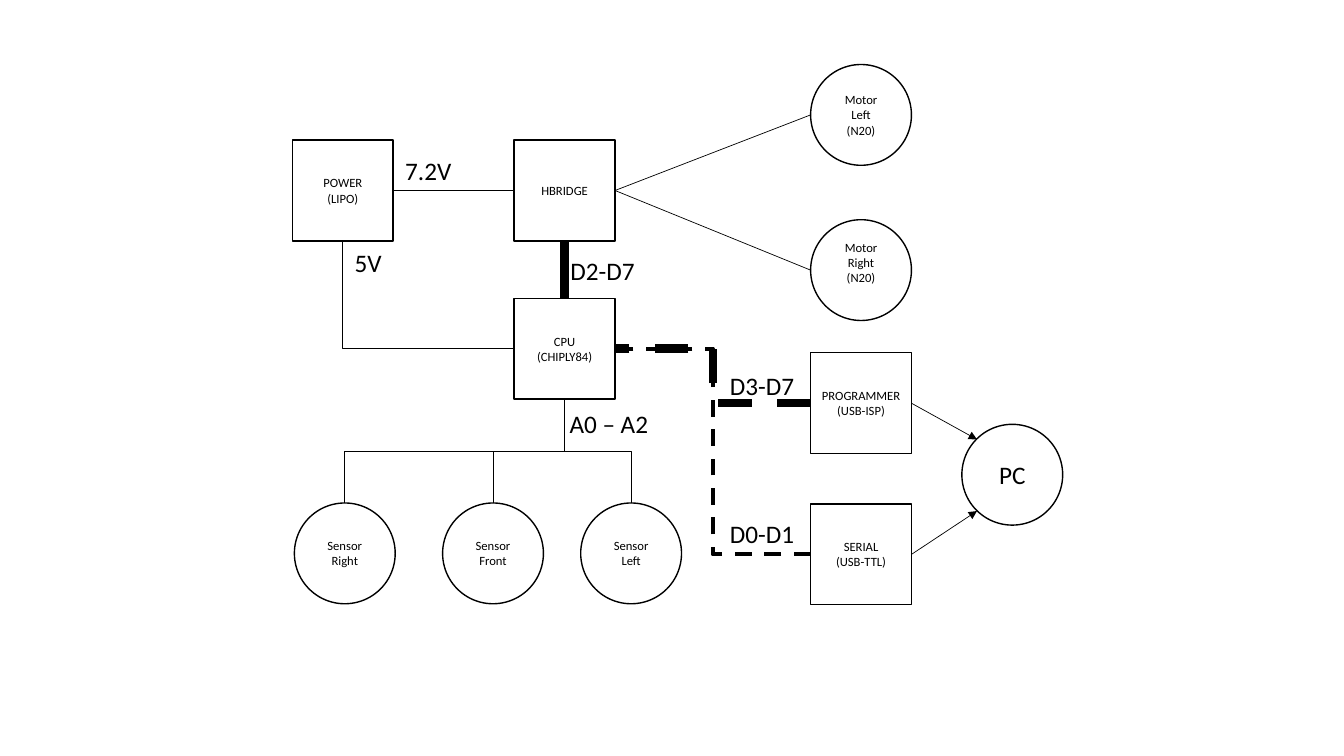
from pptx import Presentation
from pptx.dml.color import RGBColor
from pptx.enum.dml import MSO_LINE as Dash
from pptx.enum.shapes import MSO_CONNECTOR as Conn, MSO_SHAPE as Geo
from pptx.enum.text import MSO_ANCHOR as Anchor, MSO_AUTO_SIZE as Auto, PP_ALIGN as Align
from pptx.oxml.ns import qn
from pptx.util import Inches, Pt
from lxml.etree import SubElement

BLACK = RGBColor(0, 0, 0)
WHITE = RGBColor(255, 255, 255)
SIDE = 1  # every box and circle is one inch wide and high
THIN = 0.5

NODE = {"word_wrap": True, "vertical_anchor": Anchor.MIDDLE}
LABEL = {"word_wrap": False, "auto_size": Auto.SHAPE_TO_FIT_TEXT}

BOXES = {
    "cpu": (5.1, 2.96, "CPU\n(CHIPLY84)"),
    "bridge": (5.1, 1.39, "HBRIDGE"),
    "power": (2.9, 1.39, "POWER\n(LIPO)"),
    "prog": (8.04, 3.5, "PROGRAMMER\n(USB-ISP)"),
    "serial": (8.04, 5, "SERIAL\n(USB-TTL)"),
}
MOTORS = [(0.64, "Left", 0.05), (2.18, "Right", 0.2)]
SENSORS = [(4.39, "Front"), (2.92, "Right"), (5.76, "Left")]
LABELS = [
    (3.42, 2.4, 0.47, "5V"),
    (3.92, 1.49, 0.66, "7.2V"),
    (5.56, 2.48, 0.85, "D2-D7"),
    (5.55, 4, 0.99, "A0 – A2"),
    (7.14, 5.09, 0.85, "D0-D1"),
    (7.14, 3.62, 0.85, "D3-D7"),
]


def put(item, vals):
    for name, val in vals.items():
        setattr(item, name, val)


def write(frame, text, size, align, vals):
    put(frame, vals)
    frame.text = text
    for para in frame.paragraphs:
        para.alignment = align
        for run in para.runs:
            put(run.font, {"name": "Calibri", "size": Pt(size)})
            run.font.color.rgb = BLACK


def node(slide, geo, x, y, text, size=9, low=0.05):
    shape = slide.shapes.add_shape(geo, *map(Inches, (x, y, SIDE, SIDE)))
    shape.shadow.inherit = False
    shape.fill.solid()
    shape.fill.fore_color.rgb = WHITE
    shape.line.color.rgb = BLACK
    shape.line.width = Pt(1)
    write(shape.text_frame, text, size, Align.CENTER,
          {**NODE, "margin_bottom": Inches(low)})
    return shape


def label(slide, x, y, wide, text):
    box = slide.shapes.add_textbox(*map(Inches, (x, y, wide, 0.4)))
    write(box.text_frame, text, 18, Align.LEFT, LABEL)


def link(slide, kind, start, end, width=THIN, dash=None):
    line = slide.shapes.add_connector(kind, *map(Inches, (*start, *end)))
    line.line.color.rgb = BLACK
    put(line.line, {"width": Pt(width), "dash_style": dash})
    SubElement(line.element.spPr, qn("a:effectLst"))
    return line


def wire(slide, box, side, end, width=THIN):
    """Straight line that leaves a box at the middle of a side."""
    start = (box.left.inches, box.top.inches)
    line = link(slide, Conn.STRAIGHT, start, end, width)
    line.begin_connect(box, side)
    return line


def arrow(slide, box, end):
    line = wire(slide, box, 3, end)
    SubElement(line.line._get_or_add_ln(), qn("a:tailEnd"), type="triangle")


def drop(slide, start, end, preset="bentConnector3"):
    """Elbow that leaves downwards: a quarter turn about its centre."""
    (x1, y1), (x2, y2) = start, end
    mid_x, mid_y = (x1 + x2) / 2, (y1 + y2) / 2
    right = x2 > x1
    dx = (y2 - y1) / 2 * (1 if right else -1)
    dy = abs(x2 - x1) / 2
    line = link(slide, Conn.ELBOW, (mid_x + dx, mid_y - dy), (mid_x - dx, mid_y + dy))
    props = line.element.spPr
    props.find(qn("a:xfrm")).set("rot", str((270 if right else 90) * 60000))
    props.find(qn("a:prstGeom")).set("prst", preset)


def main():
    deck = Presentation()
    put(deck, {"slide_width": Inches(13.33), "slide_height": Inches(7.5)})
    slide = deck.slides.add_slide(deck.slide_layouts[6])

    # Boards
    box = {key: node(slide, Geo.RECTANGLE, *vals) for key, vals in BOXES.items()}

    # Power and bridge wires
    feed = wire(slide, box["power"], 3, (5.1, 1.89))
    feed.end_connect(box["bridge"], 1)
    drop(slide, (3.4, 2.39), (5.1, 3.46), "bentConnector2")
    bus = wire(slide, box["bridge"], 2, (5.6, 2.96), 6)
    bus.end_connect(box["cpu"], 0)

    # Motors
    for y, side, low in MOTORS:
        node(slide, Geo.OVAL, 8.04, y, f"Motor\n{side}\n(N20)", low=low)
        wire(slide, box["bridge"], 3, (8.04, y + SIDE / 2))

    # Sensors
    for x, side in SENSORS:
        node(slide, Geo.OVAL, x, 4.99, f"Sensor\n{side}")
        drop(slide, (5.6, 3.96), (x + SIDE / 2, 4.99))

    # Computer and its adapters
    node(slide, Geo.OVAL, 9.54, 4.21, "PC", 18)
    for key, y, width, tip in (("prog", 4, 6, 4.36), ("serial", 5.5, 3, 5.07)):
        link(slide, Conn.ELBOW, (8.04, y), (6.1, 3.46), width, Dash.DASH)
        arrow(slide, box[key], (9.69, tip))

    # Wire labels
    for vals in LABELS:
        label(slide, *vals)

    deck.save("out.pptx")


if __name__ == "__main__":
    main()
